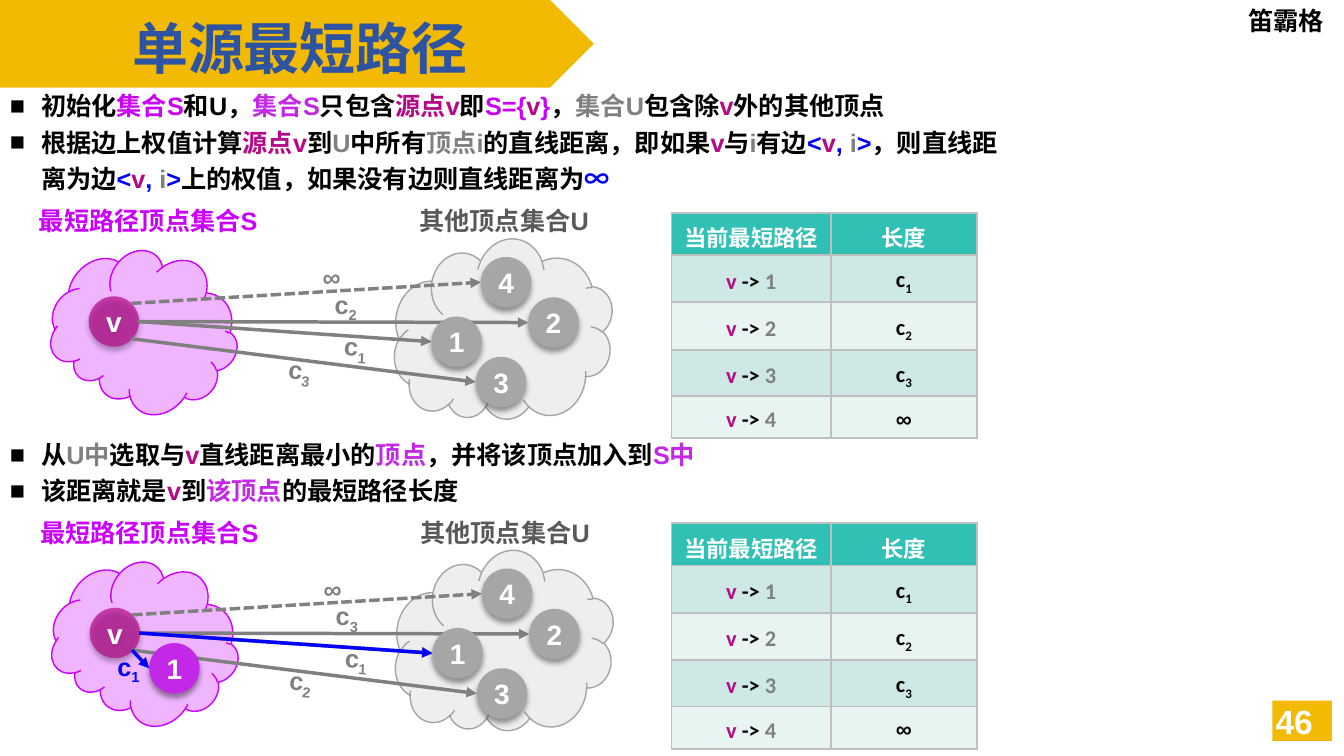
from pptx import Presentation
from pptx.dml.color import RGBColor
from pptx.enum.dml import MSO_LINE
from pptx.enum.shapes import MSO_CONNECTOR, MSO_SHAPE
from pptx.enum.text import MSO_ANCHOR, PP_ALIGN
from pptx.oxml import parse_xml
from pptx.oxml.ns import nsdecls, qn
from pptx.util import Inches, Pt

LEFT, MID, RIGHT = PP_ALIGN.LEFT, PP_ALIGN.CENTER, PP_ALIGN.RIGHT
TOP, CENTRE = MSO_ANCHOR.TOP, MSO_ANCHOR.MIDDLE
OVAL, CLOUD, RECT, PLATE = (MSO_SHAPE.OVAL, MSO_SHAPE.CLOUD,
                            MSO_SHAPE.RECTANGLE, MSO_SHAPE.PENTAGON)
STRAIGHT, DASH = MSO_CONNECTOR.STRAIGHT, MSO_LINE.SQUARE_DOT

# One-letter keys also mark the colour of a run: "[k]black[v]plum"
COL = {
    "k": "000000", "w": "FFFFFF", "s": "CC00FF", "p": "C328E9",
    "v": "B50988", "g": "808080", "b": "0000FF", "d": "595959",
    "title": "2E54A1", "gold": "F2BA02", "node": "A6A6A6", "cloud": "EEEEEE",
    "head": "30C0B4", "odd": "CDE8E5", "even": "E8F4F2", "rule": "BFBFBF",
}

INTRO = [
    "[k]初始化[s]集合S[k]和U，[p]集合S[k]只包含[v]源点v[k]即[s]S={[v]v[s]}"
    "[k]，[g]集合U[k]包含除[v]v[k]外的其他顶点",
    "[k]根据边上权值计算[v]源点v[k]到[g]U[k]中所有[g]顶点i[k]的直线距离，即如果"
    "[v]v[k]与[g]i[k]有边[b]<[v]v[b], [g]i[b]>[k]，则直线距离为边"
    "[b]<[v]v[b], [g]i[b]>[k]上的权值，如果没有边则直线距离为[b]∞",
]
STEP = [
    "[k]从[g]U中[k]选取与[v]v[k]直线距离最小的[p]顶点[k]，并将该顶点加入到[p]S中",
    "[k]该距离就是[v]v[k]到[p]该顶点[k]的最短路径长度",
]
ROWS = [
    ("[w]当前最短路径", "[w]长度"),
    ("[v]v[k] -> [g]1", "[k]c_1"),
    ("[v]v [k]-> [g]2", "[k]c_2"),
    ("[v]v [k]-> [g]3", "[k]c_3"),
    ("[v]v[k] -> [g]4", "[k]∞"),
]


def rgb(key):
    return RGBColor.from_string(COL[key])


def write(frame, *lines, size=18, font="Arial", align=LEFT, anchor=TOP,
          wrap=True, space=None, bullet=False):
    """Fill a frame with marked lines; "_" starts a subscript."""
    frame.word_wrap, frame.vertical_anchor = wrap, anchor
    for n, line in enumerate(lines):
        para = frame.add_paragraph() if n else frame.paragraphs[0]
        para.alignment, para.line_spacing = align, space
        if bullet:
            props = para._p.get_or_add_pPr()
            props.set("marL", str(Inches(0.31)))
            props.set("indent", str(-Inches(0.31)))
            props.append(parse_xml(f'<a:buFont {nsdecls("a")} typeface="Arial"/>'))
            props.append(parse_xml(f'<a:buChar {nsdecls("a")} char="■"/>'))
        for part in line.split("[")[1:]:
            key, _, words = part.partition("]")
            base, _, sub = words.partition("_")
            for text, low in ((base, False), (sub, True)):
                if not text:
                    continue
                run = para.add_run()
                run.text = text
                run.font.size, run.font.name = Pt(size), font
                run.font.bold, run.font.color.rgb = True, rgb(key)
                if low:
                    run.font._element.set("baseline", "-25000")


def label(slide, box, *lines, turn=0, **form):
    item = slide.shapes.add_textbox(*map(Inches, box))
    item.rotation = turn
    write(item.text_frame, *lines, **form)


def fade(fill, share):
    """Set the opacity of a solid fill or line, in percent."""
    fill.find(".//" + qn("a:srgbClr")).append(
        parse_xml(f'<a:alpha {nsdecls("a")} val="{share * 1000}"/>'))


def draw(slide, kind, box, fill, line=None, turn=0):
    item = slide.shapes.add_shape(kind, *map(Inches, box))
    item.shadow.inherit = False
    item.rotation = turn
    item.fill.solid()
    item.fill.fore_color.rgb = rgb(fill)
    if line:
        item.line.color.rgb, item.line.width = rgb(line), Pt(1)
    else:
        item.line.fill.background()
    return item


def node(slide, x, y, name, fill="node"):
    item = draw(slide, OVAL, (x, y, 0.5, 0.5), fill)
    item._element.spPr.find(qn("a:effectLst")).append(parse_xml(
        f'<a:outerShdw {nsdecls("a")} blurRad="50800" dist="38100" dir="5400000">'
        '<a:srgbClr val="000000"><a:alpha val="40000"/></a:srgbClr></a:outerShdw>'))
    write(item.text_frame, "[w]" + name, size=20, align=MID, anchor=CENTRE, wrap=False)
    return item


def arrow(slide, x, y, ends, hue="g", dash=None):
    x1, y1, x2, y2 = ends
    item = slide.shapes.add_connector(
        STRAIGHT, Inches(x + x1), Inches(y + y1), Inches(x + x2), Inches(y + y2))
    item.line.color.rgb, item.line.width = rgb(hue), Pt(2.5)
    if dash:
        item.line.dash_style = dash
    props = item._element.spPr
    props.find(qn("a:ln")).append(parse_xml(f'<a:tailEnd {nsdecls("a")} type="triangle"/>'))
    props.append(parse_xml(f'<a:effectLst {nsdecls("a")}/>'))


def graph(slide, x, y, costs, moved=False):
    """Both vertex sets with their edges; costs label the edges to 2, 1 and 3."""
    # Clouds and captions
    rest = draw(slide, CLOUD, (x + 3.92, y + 0.38, 2.15, 1.83), "cloud", "g", 190.1)
    fade(rest._element.spPr.find(qn("a:ln")), 67)
    done = draw(slide, CLOUD, (x + 0.57, y + 0.47, 1.77, 1.61), "s", "s", 221)
    fade(done._element.spPr.find(qn("a:solidFill")), 29)
    label(slide, (x + 0.03, y, 2.88, 0.4), "[s]最短路径顶点集合S", align=MID)
    label(slide, (x + 3.22, y, 3.56, 0.4), "[d]其他顶点集合U", align=MID)
    # Vertices and edges
    start = node(slide, x + 0.88, y + 0.95, "v", "v")
    fade(start._element.spPr.find(qn("a:solidFill")), 69)
    for name, dx, dy in (("3", 4.72, 1.55), ("4", 4.77, 0.56), ("2", 5.24, 0.96)):
        node(slide, x + dx, y + dy, name)
    near = (1.37, 1.2, 4.28, 1.4)
    arrow(slide, x, y, near)
    arrow(slide, x, y, (1.3, 1.02, 4.77, 0.81), dash=DASH)
    arrow(slide, x, y, (1.3, 1.37, 4.72, 1.8))
    arrow(slide, x, y, (1.37, 1.2, 5.24, 1.21))
    node(slide, x + 4.28, y + 1.15, "1")
    if moved:
        node(slide, x + 1.47, y + 1.3, "1", "p")
    # Edge weights
    spots = ((3.1, 0.56, 0.37, 356.4), (3.16, 0.83, 0.54, 0),
             (3.24, 1.25, 0.57, 3.8), (2.69, 1.48, 0.57, 6.9))
    for cost, (dx, dy, w, turn) in zip(("∞", *costs), spots):
        label(slide, (x + dx, y + dy, w, 0.4), "[g]" + cost, turn=turn, align=MID)
    # Chosen vertex
    if moved:
        arrow(slide, x, y, near, "b")
        arrow(slide, x, y, (1.3, 1.37, 1.47, 1.55), "b")
        label(slide, (x + 0.98, y + 1.33, 0.57, 0.4), "[b]c_1", align=MID)


def border(cell):
    props = cell._tc.get_or_add_tcPr()
    for n, side in enumerate(("lnL", "lnR", "lnT", "lnB")):
        props.insert(n, parse_xml(
            f'<a:{side} {nsdecls("a")} w="19050"><a:solidFill>'
            f'<a:srgbClr val="{COL["rule"]}"/></a:solidFill></a:{side}>'))


def grid(slide, x, y):
    highs = (0.42, 0.47, 0.47, 0.46, 0.42)
    table = slide.shapes.add_table(
        5, 2, *map(Inches, (x, y, 3.03, sum(highs)))).table
    for col, wide in zip(table.columns, (1.58, 1.45)):
        col.width = Inches(wide)
    for r, (texts, high) in enumerate(zip(ROWS, highs)):
        table.rows[r].height = Inches(high)
        for c, text in enumerate(texts):
            cell = table.cell(r, c)
            cell.margin_top = cell.margin_bottom = Inches(0.01)
            cell.vertical_anchor = CENTRE
            cell.fill.solid()
            cell.fill.fore_color.rgb = rgb(("even", "odd")[r % 2] if r else "head")
            border(cell)
            write(cell.text_frame, text, size=16, align=MID, anchor=None, space=1.2,
                  font="Arial" if "∞" in text else "Calibri")


def frame(slide):
    """Title band, author and page number."""
    draw(slide, RECT, (12.62, 6.95, 0.59, 0.4), "gold")
    band = draw(slide, PLATE, (0, 0, 5.89, 0.87), "gold")
    title = slide.shapes.title
    band._element.addnext(title._element)
    title.left, title.top, title.width, title.height = map(Inches, (1.21, 0.08, 3.8, 0.77))
    write(title.text_frame, "[title]单源最短路径", size=40, font="Calibri")
    label(slide, (12.28, 0, 1.05, 0.4), "[k]笛霸格", font="Calibri")
    label(slide, (12.42, 6.95, 0.7, 0.4), "[w]46", size=24, align=RIGHT, anchor=CENTRE)


def main():
    deck = Presentation()
    deck.slide_width, deck.slide_height = Inches(13.33), Inches(7.5)
    slide = deck.slides.add_slide(deck.slide_layouts[5])
    frame(slide)
    label(slide, (0, 0.79, 10, 1.16), *INTRO, space=1.2, bullet=True)
    graph(slide, 0.01, 5.08, ("c_3", "c_1", "c_2"), moved=True)
    graph(slide, 0, 1.99, ("c_2", "c_1", "c_3"))
    label(slide, (0, 4.25, 9.99, 0.8), *STEP, space=1.2, bullet=True)
    for y in (2.11, 5.19):
        grid(slide, 6.66, y)
    deck.save("out.pptx")


if __name__ == "__main__":
    main()
